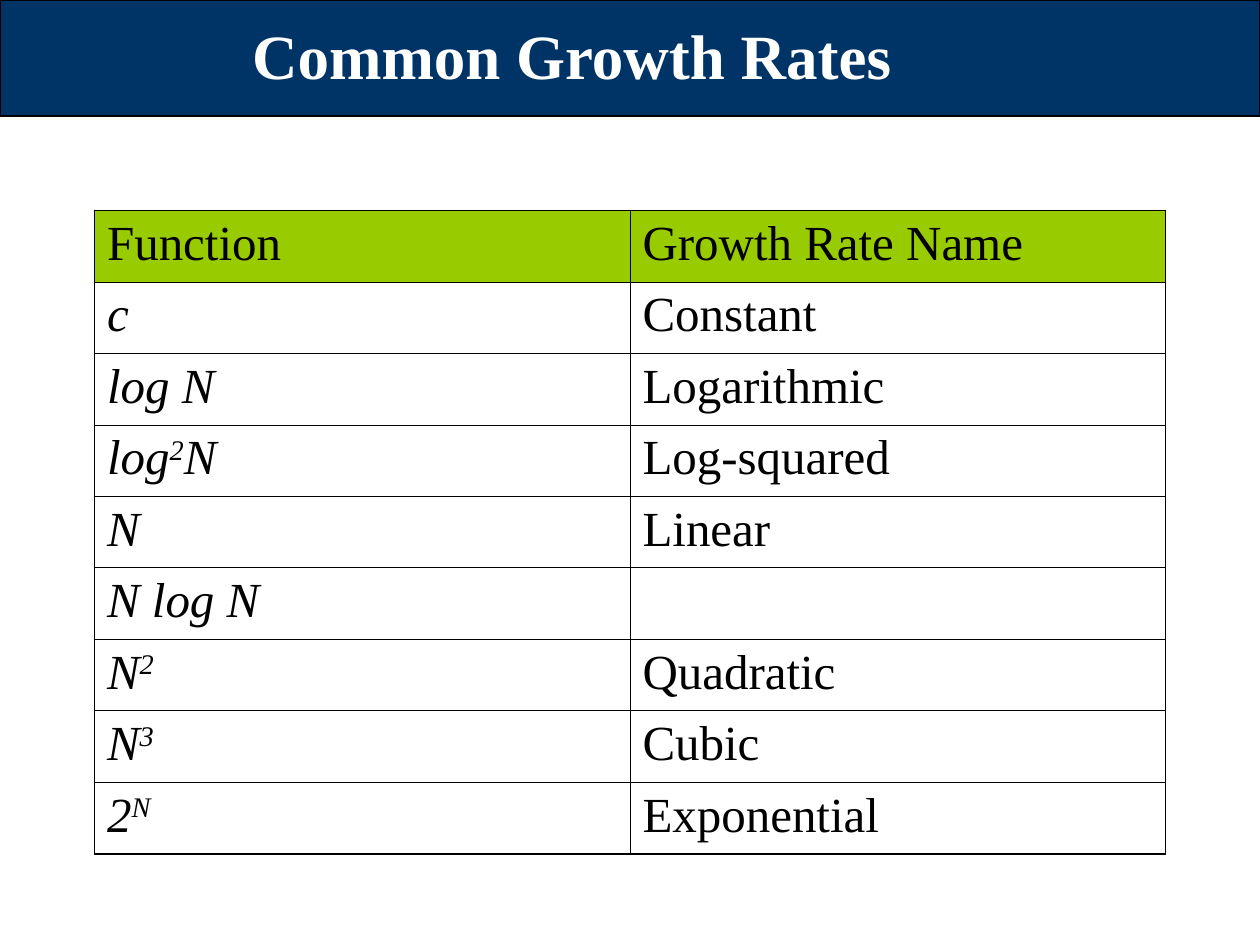
from lxml import etree
from pptx import Presentation
from pptx.dml.color import RGBColor
from pptx.enum import shapes, text
from pptx.oxml.ns import qn
from pptx.util import Inches, Pt

NAVY = RGBColor(0x00, 0x33, 0x66)
GREEN = RGBColor(0x99, 0xCC, 0x00)
BLACK = RGBColor(0x00, 0x00, 0x00)
WHITE = RGBColor(0xFF, 0xFF, 0xFF)
FONT = "Times New Roman"
OUTER, INNER = Pt(1.08), Pt(0.45)

HEADINGS = ("Function", "Growth Rate Name")
# Each function is a list of pieces; "^" marks a superscript
GROWTH_RATES = [
    (["c"], "Constant"),
    (["log N"], "Logarithmic"),
    (["log", "^2", "N"], "Log-squared"),
    (["N"], "Linear"),
    (["N log N"], ""),
    (["N", "^2"], "Quadratic"),
    (["N", "^3"], "Cubic"),
    (["2", "^N"], "Exponential"),
]


def add_run(paragraph, words, size, color, bold=False, italic=False):
    run = paragraph.add_run()
    run.text = words.removeprefix("^")
    font = run.font
    font.name, font.size, font.bold, font.italic = FONT, Pt(size), bold, italic
    font.color.rgb = color
    if words.startswith("^"):
        run._r.get_or_add_rPr().set("baseline", "30000")


def add_banner(slide):
    banner = slide.shapes.add_shape(
        shapes.MSO_SHAPE.RECTANGLE, 0, 0, Inches(10), Inches(0.92))
    banner.shadow.inherit = False
    banner.fill.solid()
    banner.fill.fore_color.rgb = NAVY
    banner.line.color.rgb = BLACK
    banner.line.width = Pt(0.75)


def add_title(slide, words):
    title = slide.shapes.add_textbox(
        Inches(0.35), Inches(-0.03), Inches(8.5), Inches(0.92))
    frame = title.text_frame
    frame.word_wrap = True
    frame.vertical_anchor = text.MSO_ANCHOR.MIDDLE
    paragraph = frame.paragraphs[0]
    paragraph.alignment = text.PP_ALIGN.CENTER
    add_run(paragraph, words, 36, WHITE, bold=True)


def set_borders(cell, widths):
    """Draw the left, right, top and bottom borders, ahead of the cell fill."""
    properties = cell._tc.get_or_add_tcPr()
    for position, (side, width) in enumerate(zip("LRTB", widths)):
        border = etree.Element(qn(f"a:ln{side}"), w=str(width))
        fill = etree.SubElement(border, qn("a:solidFill"))
        etree.SubElement(fill, qn("a:srgbClr"), val=str(BLACK))
        properties.insert(position, border)


def add_rates_table(slide):
    rows = [([HEADINGS[0]], HEADINGS[1])] + GROWTH_RATES
    last_row, last_col = len(rows) - 1, len(HEADINGS) - 1
    table = slide.shapes.add_table(
        len(rows), len(HEADINGS),
        Inches(0.75), Inches(1.67), Inches(8.5), Inches(5.1)).table
    table.horz_banding = False
    for r, (function, name) in enumerate(rows):
        for c, pieces in enumerate((function, [name] if name else [])):
            cell = table.cell(r, c)
            if r == 0:
                cell.fill.solid()
                cell.fill.fore_color.rgb = GREEN
            else:
                cell.fill.background()
            edges = (c == 0, c == last_col, r == 0, r == last_row)
            set_borders(cell, [OUTER if edge else INNER for edge in edges])
            for piece in pieces:
                add_run(cell.text_frame.paragraphs[0], piece, 28, BLACK,
                        italic=r > 0 and c == 0)


def main():
    deck = Presentation()
    deck.slide_width, deck.slide_height = Inches(10), Inches(7.5)
    slide = deck.slides.add_slide(deck.slide_layouts[6])

    # Title banner
    add_banner(slide)
    add_title(slide, "Common Growth Rates ")

    # Growth rates
    add_rates_table(slide)

    deck.save("out.pptx")


if __name__ == "__main__":
    main()
